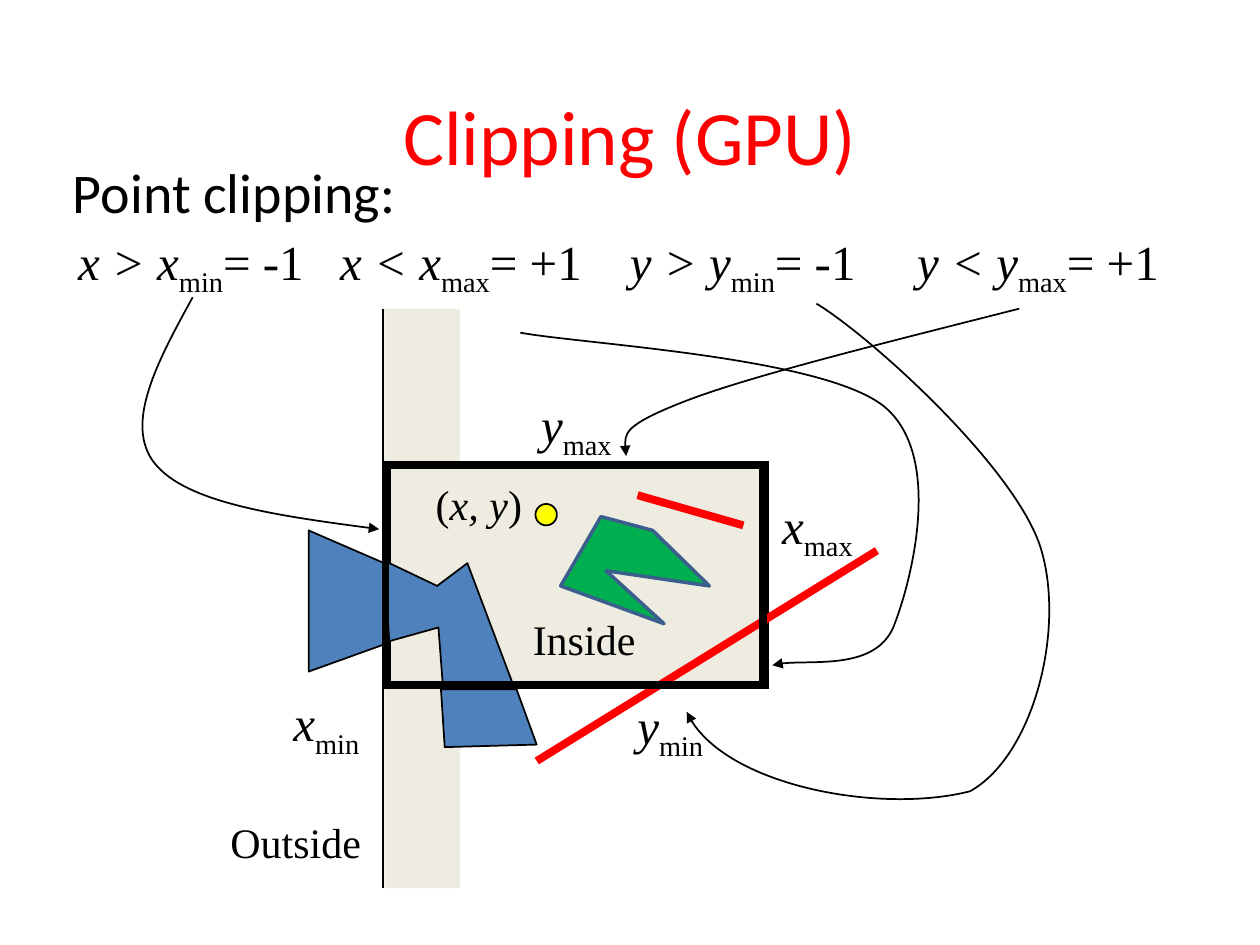
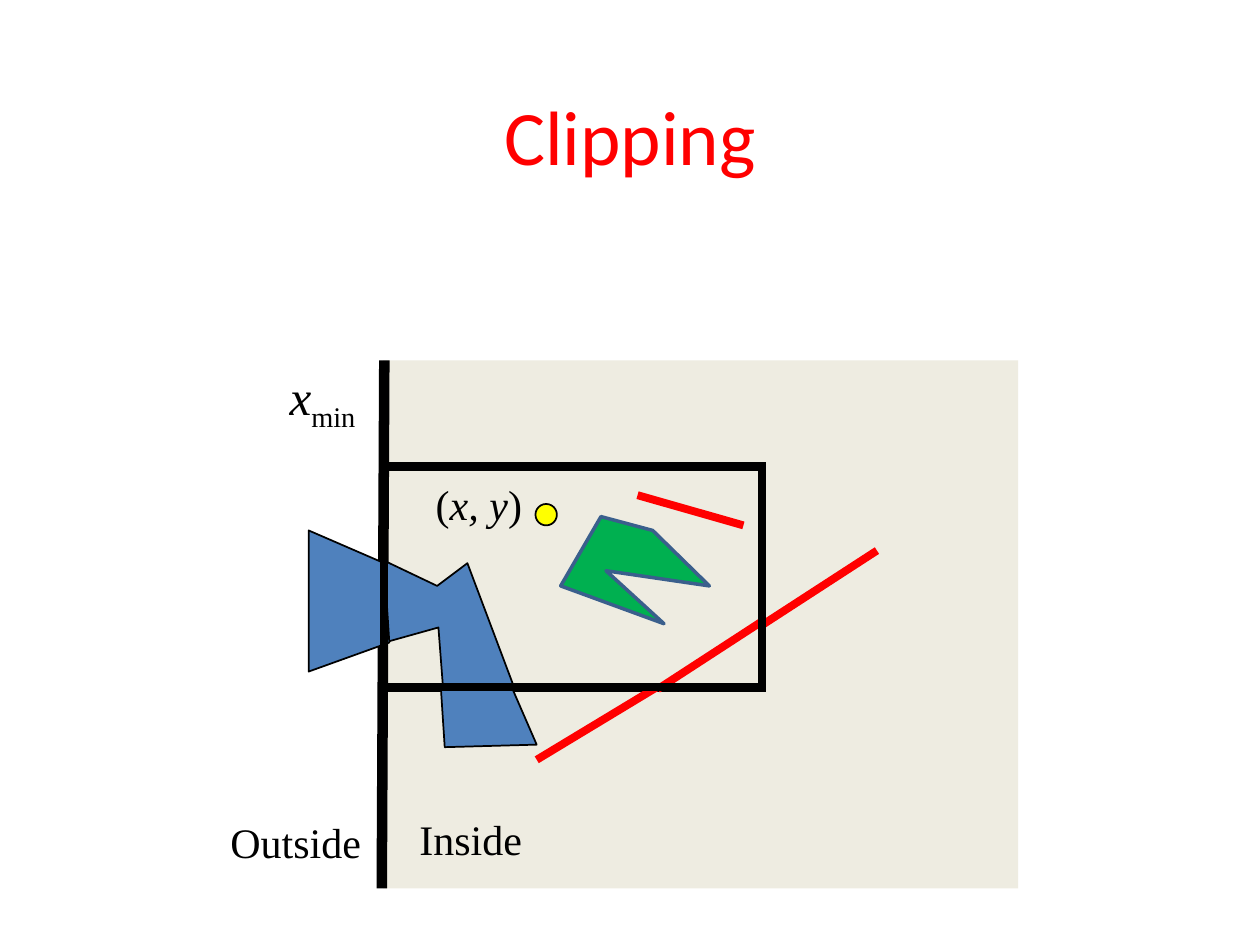
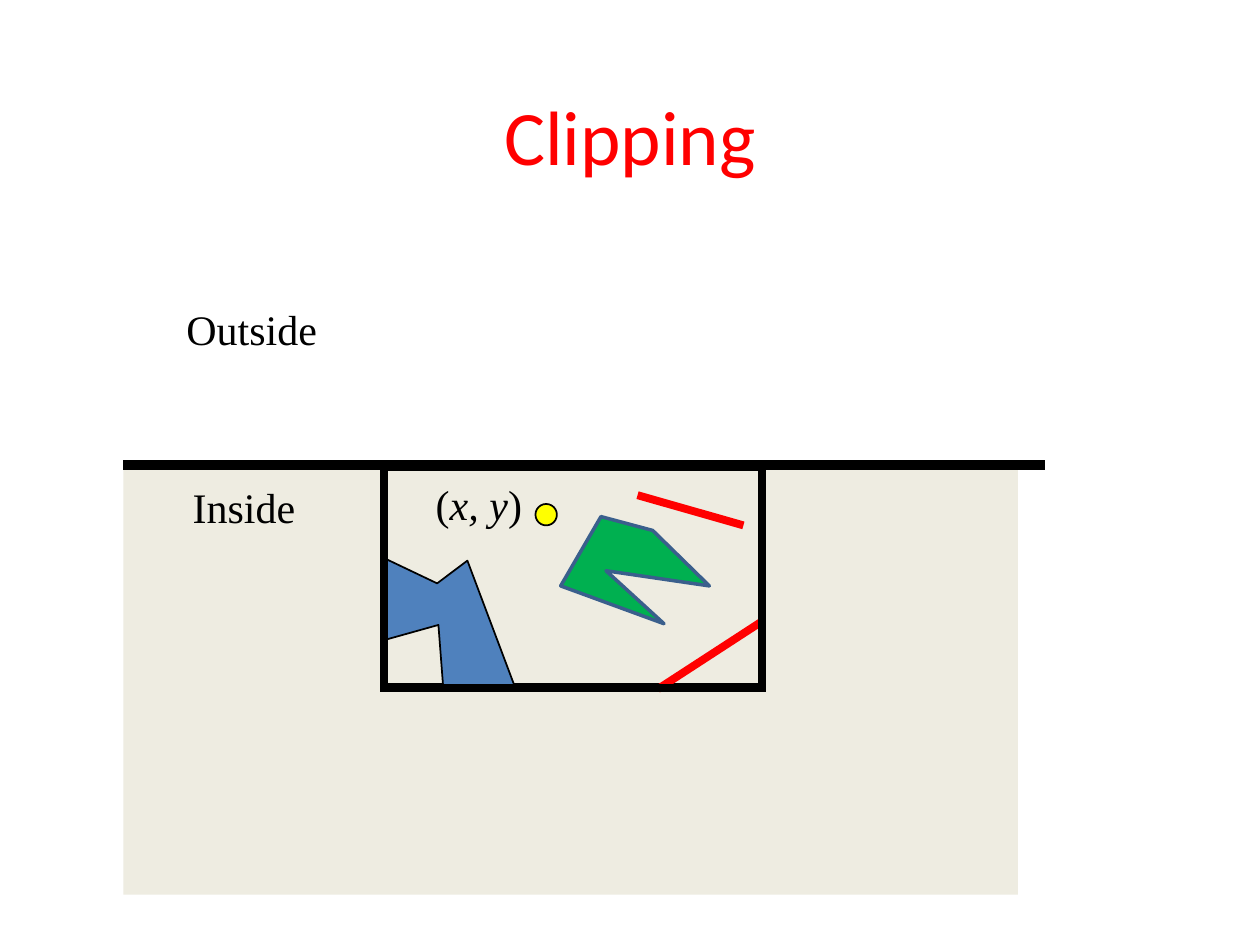
from pptx import Presentation
from pptx.dml.color import RGBColor
from pptx.enum import shapes, text
from pptx.oxml.ns import qn
from pptx.util import Inches, Pt
from lxml import etree

HUES = {"ink": "000000", "red": "FF0000", "sand": "EEECE1", "blue": "4F81BD",
        "green": "00B050", "edge": "3A5F8C", "yellow": "FFFF00"}
SERIF, SANS = "Times New Roman", "Calibri"

# Runs are (text, style): "i" italic, "s" subscript, "" plain
XMIN = [("x", "i"), ("min", "s")]
XMAX = [("x", "i"), ("max", "s")]
YMIN = [("y", "i"), ("min", "s")]
YMAX = [(" y", "i"), ("max", "s")]
POINT = [("(", ""), ("x, y", "i"), (")", "")]
TESTS = [("x > x", "i"), ("min", "s"), ("= -1", ""),
         ("\tx < x", "i"), ("max", "s"), ("= +1", ""),
         ("\ty > y", "i"), ("min", "s"), ("= -1", ""),
         ("\ty < y", "i"), ("max", "s"), ("= +1", "")]
STOPS = [2.08, 4.38, 6.66]

BODY = [(3.05, 4.45), (3.05, 5.1), (3.48, 4.98), (3.52, 5.5),
        (4.09, 5.48), (3.71, 4.47), (3.47, 4.65)]
WING = [(2.45, 4.21), (3.05, 4.47), (3.09, 5.1), (2.45, 5.33)]
FOOT = [(3.53, 5.93), (3.5, 5.47), (4.1, 5.47), (4.26, 5.91)]
FOOT_CUT = [(3.53, 5.93), (3.5, 5.47), (4.06, 5.45), (4.26, 5.91)]
CHIP = [(4.77, 4.1), (4.45, 4.65), (5.27, 4.95), (4.81, 4.53),
        (5.63, 4.65), (5.18, 4.21)]

# Each arrow: a start, then two control points and an end for every bend
TO_XMIN = [(1.53, 2.36), (1.25, 2.87), (0.98, 3.37), (1.23, 3.68),
           (1.48, 3.99), (2.24, 4.1), (3.01, 4.2)]
TO_XMAX = [(4.13, 2.64), (4.61, 2.73), (6.51, 2.83), (7.01, 3.22),
           (7.5, 3.61), (7.23, 4.63), (7.09, 4.98),
           (6.94, 5.32), (6.33, 5.22), (6.13, 5.28)]
TO_YMAX = [(8.09, 2.45), (7.03, 2.72), (5.97, 2.98), (5.45, 3.18),
           (4.93, 3.38), (4.95, 3.5), (4.97, 3.62)]
TO_YMIN = [(6.48, 2.41), (6.91, 2.67), (8.06, 3.71), (8.26, 4.35),
           (8.46, 5), (8.2, 6), (7.7, 6.28),
           (7, 6.46), (5.71, 6.23), (5.45, 5.65)]


def rgb(hue):
    return RGBColor.from_string(HUES[hue])


def paint(shape, fill=None, line=None, width=1):
    shape.shadow.inherit = False
    if fill:
        shape.fill.solid()
        shape.fill.fore_color.rgb = rgb(fill)
    else:
        shape.fill.background()
    if line:
        shape.line.color.rgb = rgb(line)
        shape.line.width = Pt(width)
    else:
        shape.line.fill.background()


def extend(shape, tag, **attrs):
    """Add a child to the outline of a shape."""
    ln = shape._element.spPr.find(qn("a:ln"))
    etree.SubElement(ln, qn(tag), **attrs)


def write(slide, runs, at, size=28, font=SERIF, hue="ink", wrap=False,
          align=None, anchor=None, inset=0.1, stops=()):
    box = slide.shapes.add_textbox(*map(Inches, at))
    frame = box.text_frame
    frame.word_wrap = wrap
    frame.margin_left = Inches(inset)
    if anchor:
        frame.vertical_anchor = anchor
    else:
        frame.auto_size = text.MSO_AUTO_SIZE.SHAPE_TO_FIT_TEXT
    para = frame.paragraphs[0]
    if align:
        para.alignment = align
    if stops:
        tabs = etree.SubElement(para._p.get_or_add_pPr(), qn("a:tabLst"))
        for stop in stops:
            etree.SubElement(tabs, qn("a:tab"), pos=str(Inches(stop)), algn="l")
    for words, style in [(runs, "")] if isinstance(runs, str) else runs:
        run = para.add_run()
        run.text = words
        run.font.size, run.font.name = Pt(size), font
        run.font.color.rgb = rgb(hue)
        run.font.italic = style == "i"
        if style == "s":
            run._r.get_or_add_rPr().set("baseline", "-25000")


def block(slide, at, kind=shapes.MSO_SHAPE.RECTANGLE, **look):
    shape = slide.shapes.add_shape(kind, *map(Inches, at))
    paint(shape, **look)
    if look.get("line") and kind == shapes.MSO_SHAPE.RECTANGLE:
        extend(shape, "a:miter", lim="800000")


def window(slide, left, top, fill=None):
    block(slide, (left, top, 3, 1.75), fill=fill, line="ink", width=4.5)


def outline(slide, dots, close=True, **look):
    dots = [(Inches(x), Inches(y)) for x, y in dots]
    path = slide.shapes.build_freeform(*dots[0])
    path.add_line_segments(dots[1:], close=close)
    shape = path.convert_to_shape()
    paint(shape, **look)
    return shape


def piece(slide, dots, rise=0):
    outline(slide, [(x, y - rise) for x, y in dots], fill="blue", line="ink")


def arrow(slide, knots):
    """Draw a curved arrow: every three segments become one cubic curve."""
    shape = outline(slide, knots, close=False, line="ink")
    legs = list(shape._element.iter(qn("a:lnTo")))
    for n in range(0, len(legs), 3):
        curve = etree.Element(qn("a:cubicBezTo"))
        legs[n].addprevious(curve)
        for leg in legs[n:n + 3]:
            curve.append(leg[0])
            leg.getparent().remove(leg)
    extend(shape, "a:tailEnd", type="triangle")


def rule(slide, start, end, hue="red", width=4.5):
    line = slide.shapes.add_connector(
        shapes.MSO_CONNECTOR.STRAIGHT, *map(Inches, start + end))
    line.line.color.rgb = rgb(hue)
    line.line.width = Pt(width)
    etree.SubElement(line._element.spPr, qn("a:effectLst"))


def title(slide, words):
    write(slide, words, (0.75, 0.44, 8.5, 1.25), size=44, font=SANS, hue="red",
          wrap=True, align=text.PP_ALIGN.CENTER, anchor=text.MSO_ANCHOR.MIDDLE)


def sides(slide, inside, outside):
    write(slide, "Inside", (*inside, 1.02, 0.5), size=24)
    write(slide, "Outside", (*outside, 1.25, 0.5), size=24)


def content(slide):
    """The things that lie wholly inside the window."""
    block(slide, (4.25, 4, 0.17, 0.17), shapes.MSO_SHAPE.OVAL,
          fill="yellow", line="ink")
    write(slide, POINT, (3.36, 3.75, 0.89, 0.51), size=24)
    rule(slide, (5.9, 4.17), (5.06, 3.93))
    outline(slide, CHIP, fill="green", line="edge", width=2)


def tests(slide):
    block(slide, (3.05, 2.45, 0.6, 4.6), fill="sand")
    window(slide, 3.07, 3.69, "sand")
    title(slide, "Clipping (GPU)")
    for runs, at in [(XMIN, (2.23, 5.45, 0.78, 0.57)),
                     (XMAX, (6.11, 3.88, 0.83, 0.57)),
                     (YMIN, (4.96, 5.47, 0.78, 0.57)),
                     (YMAX, (4.1, 3.08, 0.93, 0.57))]:
        write(slide, runs, at)
    write(slide, TESTS, (0.02, 1.79, 10, 0.57), wrap=True, inset=0.6, stops=STOPS)
    sides(slide, (4.13, 4.82), (1.73, 6.43))
    write(slide, "Point clipping:", (0.48, 1.2, 2.89, 0.64), size=32, font=SANS)
    for dots in (BODY, WING, FOOT):
        piece(slide, dots)
    rule(slide, (6.96, 4.37), (4.26, 6.04))
    window(slide, 3.06, 3.69)
    rule(slide, (3.04, 2.45), (3.04, 7.05), "ink", 0.75)
    for knots in (TO_XMIN, TO_XMAX, TO_YMAX, TO_YMIN):
        arrow(slide, knots)
    content(slide)


def left_cut(slide):
    block(slide, (3.04, 2.86, 5.04, 4.19), fill="sand")
    window(slide, 3.05, 3.71, "sand")
    title(slide, "Clipping")
    write(slide, XMIN, (2.2, 2.86, 0.78, 0.57))
    rule(slide, (4.26, 6.03), (5.22, 5.45))
    rule(slide, (3.05, 2.86), (3.03, 7.05), "ink", 6)
    sides(slide, (3.23, 6.41), (1.73, 6.43))
    for dots in (BODY, WING, FOOT_CUT):
        piece(slide, dots)
    rule(slide, (6.96, 4.37), (6.05, 4.96))
    rule(slide, (6.05, 4.93), (5.22, 5.47))
    window(slide, 3.05, 3.7)
    content(slide)


def top_cut(slide):
    window(slide, 3.07, 3.69, "sand")
    block(slide, (0.98, 3.69, 7.1, 3.41), fill="sand")
    title(slide, "Clipping")
    rule(slide, (0.98, 3.69), (8.29, 3.69), "ink", 6)
    window(slide, 3.05, 3.7)
    sides(slide, (1.43, 3.77), (1.38, 2.36))
    piece(slide, BODY, rise=0.02)
    rule(slide, (6.05, 4.93), (5.22, 5.47))
    window(slide, 3.05, 3.71)
    content(slide)


def main():
    deck = Presentation()
    deck.slide_width, deck.slide_height = Inches(10), Inches(7.5)
    for draw in (tests, left_cut, top_cut):
        draw(deck.slides.add_slide(deck.slide_layouts[6]))
    deck.save("out.pptx")


if __name__ == "__main__":
    main()
